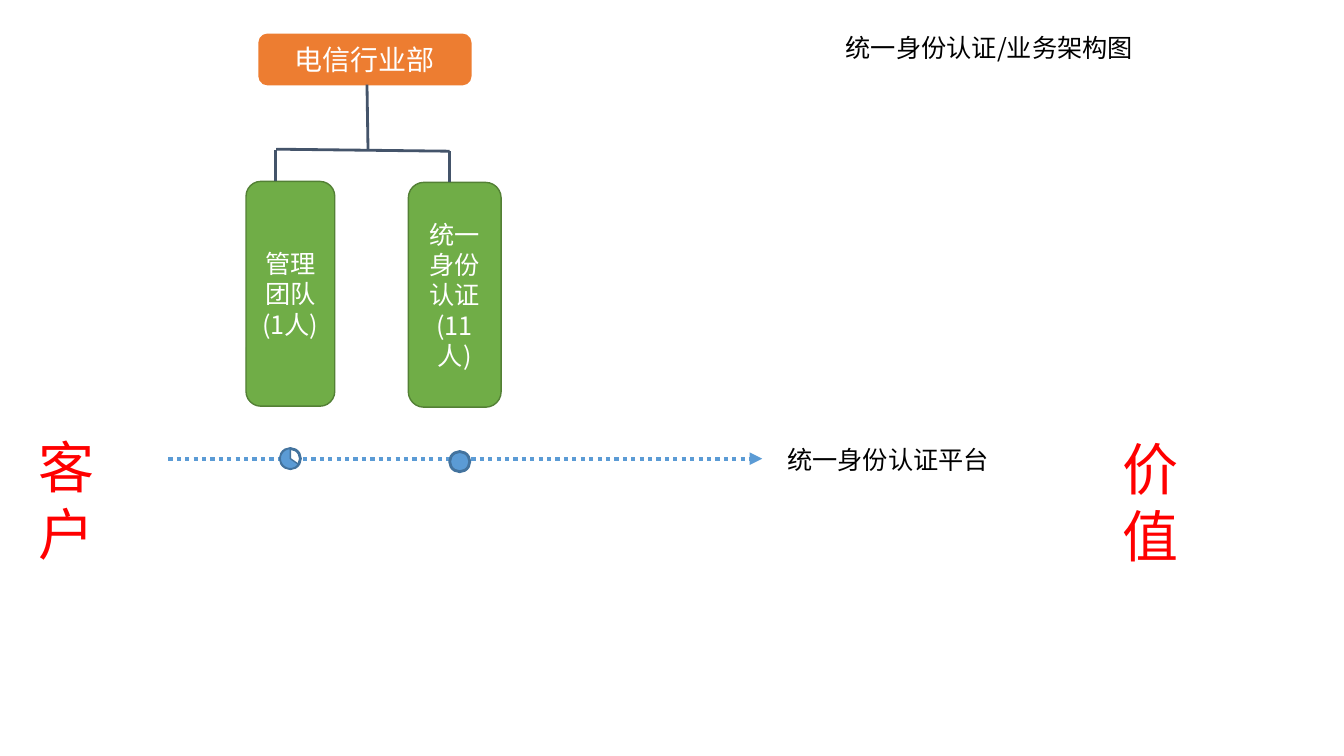
import pptx
import pptx.util
import pptx.dml.color
import pptx.enum.dml
import pptx.enum.shapes
import pptx.enum.text
import pptx.oxml

SCALE = 9144
FONT = "Noto Sans CJK SC"
HUES = {
    "orange": "ED7D31", "green": "70AD47", "moss": "538035",
    "slate": "44546A", "blue": "5B9BD5", "navy": "43739E",
    "red": "FF0000", "black": "000000", "white": "FFFFFF",
}
KIND = pptx.enum.shapes.MSO_SHAPE
ALIGN = pptx.enum.text.PP_ALIGN


def px(num):
    return pptx.util.Emu(round(num * SCALE))


def hue(name):
    return pptx.dml.color.RGBColor.from_string(HUES[name])


def apply(item, form):
    for key, val in form.items():
        setattr(item, key, val)


def write(frame, lines, size, tint, font, align=None):
    frame.word_wrap = True
    for num, line in enumerate(lines):
        para = frame.add_paragraph() if num else frame.paragraphs[0]
        para.alignment = align
        run = para.add_run()
        run.text = line
        apply(run.font, {"size": pptx.util.Pt(size), "name": font})
        run.font.color.rgb = hue(tint)


def shape(root, kind, box, fill, edge, width):
    part = root.add_shape(kind, *map(px, box))
    part.shadow.inherit = False
    part.fill.solid()
    part.fill.fore_color.rgb = hue(fill)
    part.line.color.rgb = hue(edge)
    part.line.width = pptx.util.Pt(width)
    return part


def card(root, box, text, size, fill, edge):
    part = shape(root, KIND.ROUNDED_RECTANGLE, box, fill, edge, 1)
    part.text_frame.vertical_anchor = pptx.enum.text.MSO_ANCHOR.MIDDLE
    write(part.text_frame, [text], size, "white", FONT, ALIGN.CENTER)


def label(root, box, lines, size=18, tint="black", font=FONT):
    part = root.add_textbox(*map(px, box))
    write(part.text_frame, lines, size, tint, font)


def link(root, ends, tint, width):
    part = root.add_connector(pptx.enum.shapes.MSO_CONNECTOR.STRAIGHT, *map(px, ends))
    part.line.color.rgb = hue(tint)
    part.line.width = pptx.util.Pt(width)
    props = part._element.spPr
    props.append(pptx.oxml.parse_xml(
        '<a:effectLst xmlns:a="http://schemas.openxmlformats.org/drawingml/2006/main"/>'))
    return part


def chart_tree(root, box):
    left, top, wide, high = box
    card(root, (left + 13, top, 210, 50), "电信行业部", 20, "orange", "orange")
    teams = [
        (0, 146, 88, 29, "管理团队(1人)"),
        (161, 147, 92, 202, "统一身份认证(11人)"),
    ]
    for x, y, span, stem, text in teams:
        card(root, (left + x, top + y, span, high - 147), text, 18, "green", "moss")
        link(root, (left + stem, top + y, left + stem, top + y - 31), "slate", 2)
    for x, y, end, base in [(121, 114, 120, 50), (30, 114, 202, 116)]:
        link(root, (left + x, top + y, left + end, top + base), "slate", 2)


def time_line(root, box):
    left, top, wide, high = box
    mid = top + high / 2
    axis = link(root, (left, mid, left + wide, mid), "blue", 3)
    axis.line.dash_style = pptx.enum.dml.MSO_LINE.ROUND_DOT
    axis.line._get_or_add_ln().append(pptx.oxml.parse_xml(
        '<a:tailEnd xmlns:a="http://schemas.openxmlformats.org/drawingml/2006/main" type="triangle"/>'))
    shape(root, KIND.OVAL, (left + 279, top + 3, high, high), "blue", "navy", 2)
    group = root.add_group_shape()
    dial = (left + 111, top, high, high)
    shape(group.shapes, KIND.OVAL, dial, "white", "navy", 2)
    slice = shape(group.shapes, KIND.PIE, dial, "blue", "navy", 1)
    for num, val in enumerate((20.93, 162)):
        slice.adjustments[num] = val


def notes(root, box):
    left, top, wide, high = box
    for x, y, span, text in [(28, 424, 65, "客户"), (1103, 426, 88, "价值")]:
        label(root, (left + x, top + y, span, 114), text, 40, "red", "Calibri")
    label(root, (left + 771, top + 436, 232, 40), ["统一身份认证平台"])
    label(root, (left + 829, top + 27, 309, 40), ["统一身份认证/业务架构图"])


def main():
    deck = pptx.Presentation()
    apply(deck, {"slide_width": px(1333), "slide_height": px(750)})
    root = deck.slides.add_slide(deck.slide_layouts[6]).shapes
    chart_tree(root, (244, 34, 253, 370))
    time_line(root, (167, 445, 589, 20))
    notes(root, (0, 0, 1333, 750))
    deck.save("out.pptx")


if __name__ == "__main__":
    main()
